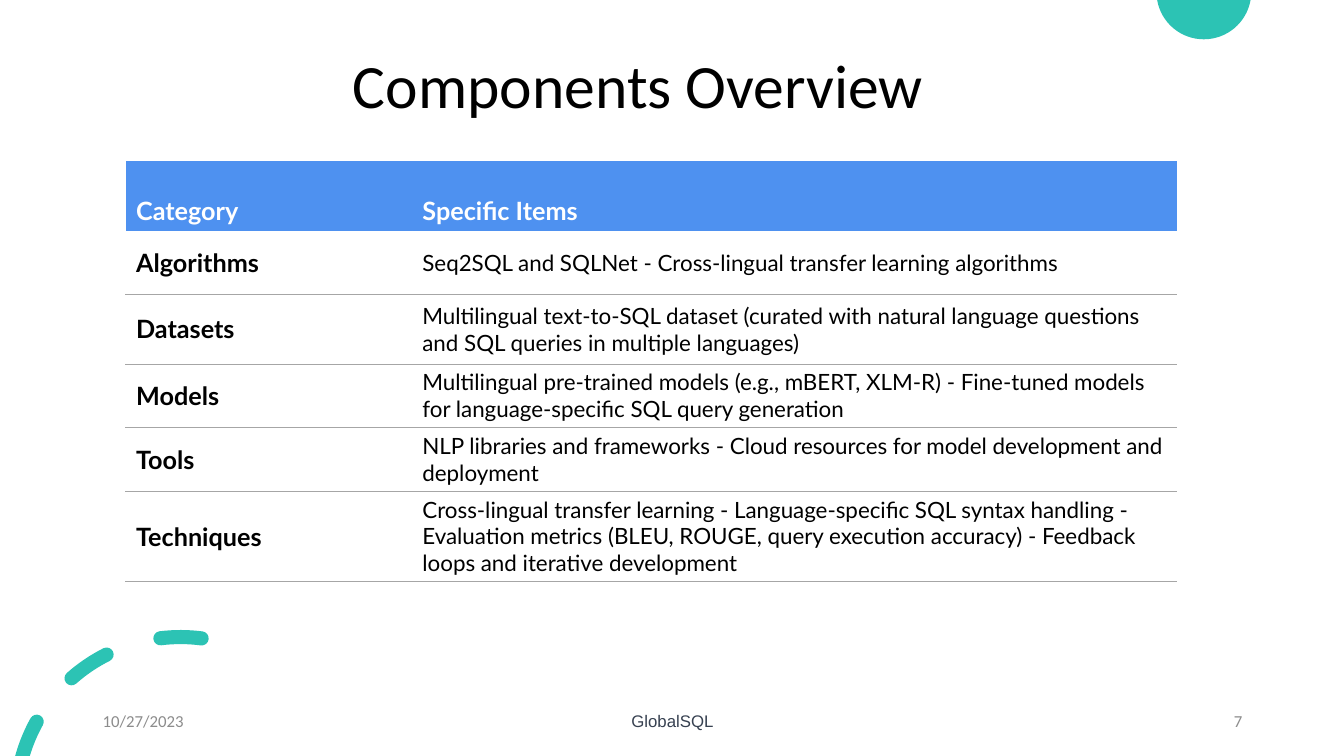
from math import acos, ceil, cos, degrees, radians, sin, tan

from lxml.etree import SubElement
from pptx import Presentation
from pptx.dml.color import RGBColor
from pptx.enum.text import MSO_ANCHOR as Anchor
from pptx.enum.text import MSO_AUTO_SIZE as AutoSize
from pptx.enum.text import PP_ALIGN as Align
from pptx.oxml.ns import qn
from pptx.util import Inches, Pt

COLORS = {
    "teal": "2CC3B4",
    "header": "4E91F0",
    "rule": "A6A6A6",
    "white": "FFFFFF",
    "black": "000000",
    "muted": "8C8C8C",
    "footer": "374151",
}
SLIDE_WIDTH, SLIDE_HEIGHT = 13.33, 7.5
COLUMN_WIDTHS = [2.84, 7.58]
ROW_HEIGHTS = [0.69, 0.63, 0.69, 0.63, 0.63, 0.89]
COMPONENTS = [
    ("Category", "Specific Items"),
    ("Algorithms", "Seq2SQL and SQLNet - Cross-lingual transfer learning algorithms"),
    ("Datasets", "Multilingual text-to-SQL dataset (curated with natural language "
     "questions and SQL queries in multiple languages)"),
    ("Models", "Multilingual pre-trained models (e.g., mBERT, XLM-R) - Fine-tuned "
     "models for language-specific SQL query generation"),
    ("Tools", "NLP libraries and frameworks - Cloud resources for model development "
     "and deployment"),
    ("Techniques", "Cross-lingual transfer learning - Language-specific SQL syntax "
     "handling - Evaluation metrics (BLEU, ROUGE, query execution accuracy) - "
     "Feedback loops and iterative development"),
]
CIRCLE_CENTER, CIRCLE_RADIUS = (11.94, -0.08), 0.47
ARC_CENTER, ARC_RADIUS, CAP_RADIUS = (1.79, 7.95), 1.63, 0.07
DASH_ANGLES = [(None, -61), (-41.5, -26.7), (-7, 7.4)]
FOOTERS = [
    ("10/27/2023", 0.92, 3, Align.LEFT, "Calibri", "muted"),
    ("GlobalSQL", 4.42, 4.5, Align.CENTER, "Arial", "footer"),
    ("7", 9.42, 3, Align.RIGHT, "Calibri", "muted"),
]


def rgb(name):
    return RGBColor.from_string(COLORS[name])


def write_text(frame, text, size=16, font="Lato", color="black", bold=False,
               align=Align.LEFT, spacing=None):
    paragraph = frame.paragraphs[0]
    paragraph.alignment = align
    paragraph.line_spacing = spacing
    run = paragraph.add_run()
    run.text = text
    run.font.size = Pt(size)
    run.font.name = font
    run.font.bold = bold
    run.font.color.rgb = rgb(color)


def point_at(center, radius, angle):
    return (center[0] + radius * sin(radians(angle)),
            center[1] - radius * cos(radians(angle)))


def curve_points(center, radius, start, end):
    count = ceil(abs(end - start) / 90)
    step = (end - start) / count
    reach = 4 / 3 * tan(radians(step / 4)) * radius
    points = []
    for i in range(count):
        first, last = start + i * step, start + (i + 1) * step
        x1, y1 = point_at(center, radius, first)
        x2, y2 = point_at(center, radius, last)
        points += [
            (x1 + reach * cos(radians(first)), y1 + reach * sin(radians(first))),
            (x2 - reach * cos(radians(last)), y2 - reach * sin(radians(last))),
            (x2, y2),
        ]
    return points


def edge_angle(center, radius, edge):
    return degrees(acos((center[1] - edge) / radius))


def circle_contour():
    angle = edge_angle(CIRCLE_CENTER, CIRCLE_RADIUS, 0)
    return ([point_at(CIRCLE_CENTER, CIRCLE_RADIUS, angle)]
            + curve_points(CIRCLE_CENTER, CIRCLE_RADIUS, angle, 360 - angle))


def dash_contour(start, end):
    outer, inner = ARC_RADIUS + CAP_RADIUS, ARC_RADIUS - CAP_RADIUS
    outer_start, inner_start = start, start
    if start is None:
        outer_start = -edge_angle(ARC_CENTER, outer, SLIDE_HEIGHT)
        inner_start = -edge_angle(ARC_CENTER, inner, SLIDE_HEIGHT)
    points = [point_at(ARC_CENTER, outer, outer_start)]
    points += curve_points(ARC_CENTER, outer, outer_start, end)
    points += curve_points(point_at(ARC_CENTER, ARC_RADIUS, end), CAP_RADIUS,
                           end, end + 180)
    points += curve_points(ARC_CENTER, inner, end, inner_start)
    if start is not None:
        points += curve_points(point_at(ARC_CENTER, ARC_RADIUS, start), CAP_RADIUS,
                               start + 180, start + 360)
    return points


def round_segments(shape):
    outline = shape._element.find(".//" + qn("a:path"))
    segments = outline.findall(qn("a:lnTo"))
    for i in range(0, len(segments), 3):
        curve = SubElement(outline, qn("a:cubicBezTo"))
        segments[i].addprevious(curve)
        for segment in segments[i:i + 3]:
            curve.append(segment[0])
            outline.remove(segment)


def add_outline(slide, contours):
    scaled = [[(Inches(x), Inches(y)) for x, y in contour] for contour in contours]
    builder = slide.shapes.build_freeform(*scaled[0][0], scale=1.0)
    for i, points in enumerate(scaled):
        if i:
            builder.move_to(*points[0])
        builder.add_line_segments(points[1:], close=True)
    shape = builder.convert_to_shape()
    round_segments(shape)
    shape.shadow.inherit = False
    shape.fill.solid()
    shape.fill.fore_color.rgb = rgb("teal")
    shape.line.fill.background()


def add_title(slide, text):
    title = slide.shapes.title
    title.left, title.top = Inches(0.58), Inches(0.15)
    title.width, title.height = Inches(11.5), Inches(1.45)
    title.text_frame.auto_size = AutoSize.NONE
    title.text_frame.vertical_anchor = Anchor.MIDDLE
    write_text(title.text_frame, text, size=44, font="Calibri",
               align=Align.CENTER, spacing=0.9)
    slide.shapes._spTree.append(title._element)


def set_borders(cell, borders):
    properties = cell._tc.get_or_add_tcPr()
    for side in ("lnL", "lnR", "lnT", "lnB"):
        color, width = borders.get(side, (None, 0))
        line = SubElement(properties, qn(f"a:{side}"), w=str(Pt(width)))
        if color:
            fill = SubElement(line, qn("a:solidFill"))
            SubElement(fill, qn("a:srgbClr"), val=COLORS[color])
        else:
            SubElement(line, qn("a:noFill"))


def fill_cell(cell, text, row, column):
    is_header = row == 0
    is_label = is_header or column == 0
    borders = {}
    if not is_header:
        borders = {"lnL": ("white", 1), "lnR": ("white", 1), "lnB": ("rule", 0.25)}
    if row > 1:
        borders["lnT"] = ("rule", 0.25)
    set_borders(cell, borders)
    if is_header:
        cell.fill.solid()
        cell.fill.fore_color.rgb = rgb("header")
    else:
        cell.fill.background()
    cell.vertical_anchor = Anchor.BOTTOM if is_header else Anchor.MIDDLE
    write_text(cell.text_frame, text, size=18 if is_label else 16, bold=is_label,
               color="white" if is_header else "black")


def add_components_table(slide):
    table = slide.shapes.add_table(
        len(COMPONENTS), len(COLUMN_WIDTHS), Inches(1.25), Inches(1.6),
        Inches(sum(COLUMN_WIDTHS)), Inches(sum(ROW_HEIGHTS))).table
    table.first_row = table.horz_banding = False
    for column, width in zip(table.columns, COLUMN_WIDTHS):
        column.width = Inches(width)
    for row, height in zip(table.rows, ROW_HEIGHTS):
        row.height = Inches(height)
    for row, texts in enumerate(COMPONENTS):
        for column, text in enumerate(texts):
            fill_cell(table.cell(row, column), text, row, column)


def add_footer(slide, text, left, width, align, font, color):
    box = slide.shapes.add_textbox(Inches(left), Inches(6.95), Inches(width), Inches(0.4))
    box.text_frame.word_wrap = True
    box.text_frame.vertical_anchor = Anchor.MIDDLE
    write_text(box.text_frame, text, size=12, font=font, color=color, align=align)


def main():
    presentation = Presentation()
    presentation.slide_width = Inches(SLIDE_WIDTH)
    presentation.slide_height = Inches(SLIDE_HEIGHT)
    slide = presentation.slides.add_slide(presentation.slide_layouts[5])
    add_outline(slide, [circle_contour()])
    add_outline(slide, [dash_contour(*angles) for angles in DASH_ANGLES])
    add_title(slide, "Components Overview")
    add_components_table(slide)
    for footer in FOOTERS:
        add_footer(slide, *footer)
    presentation.save("out.pptx")


if __name__ == "__main__":
    main()
